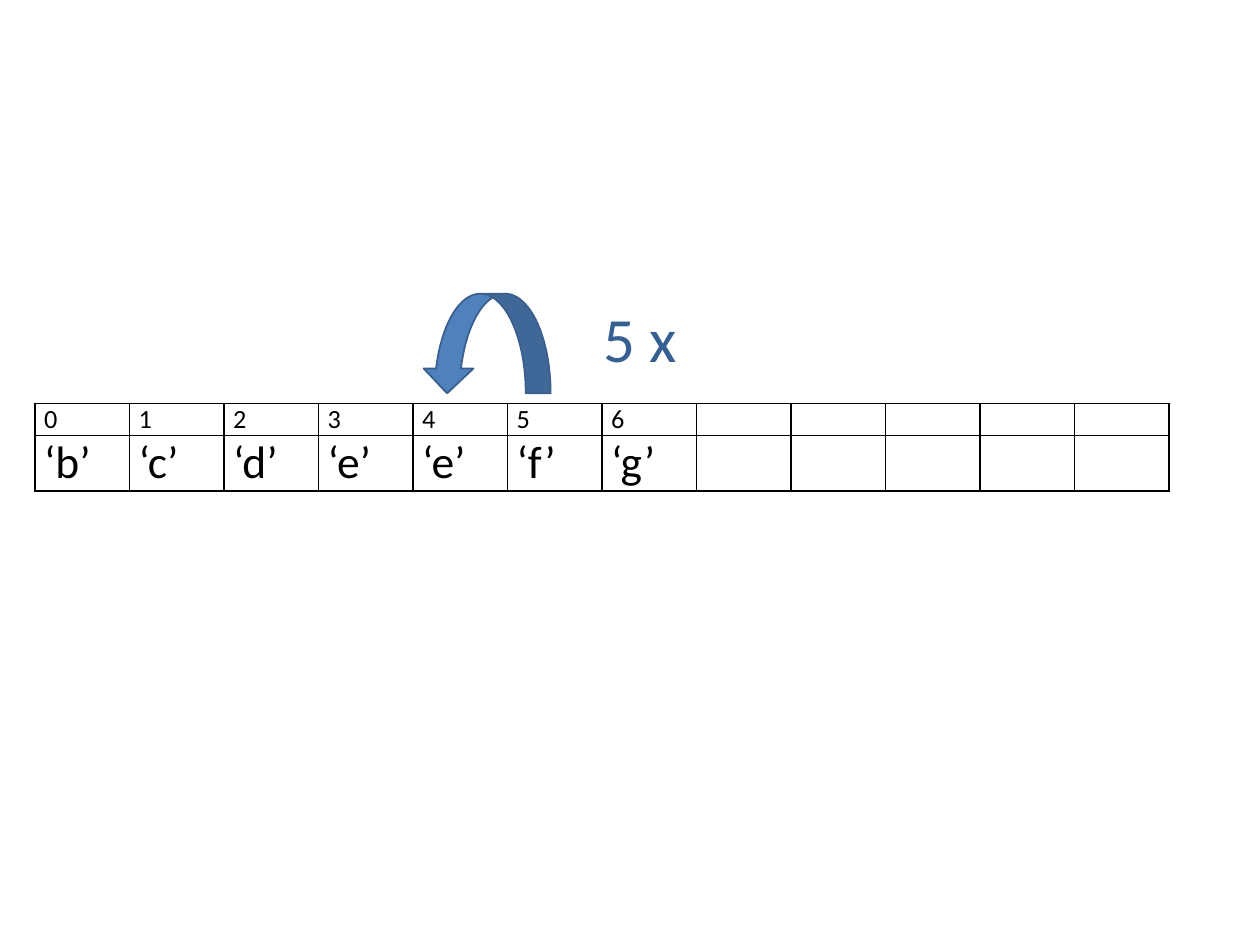
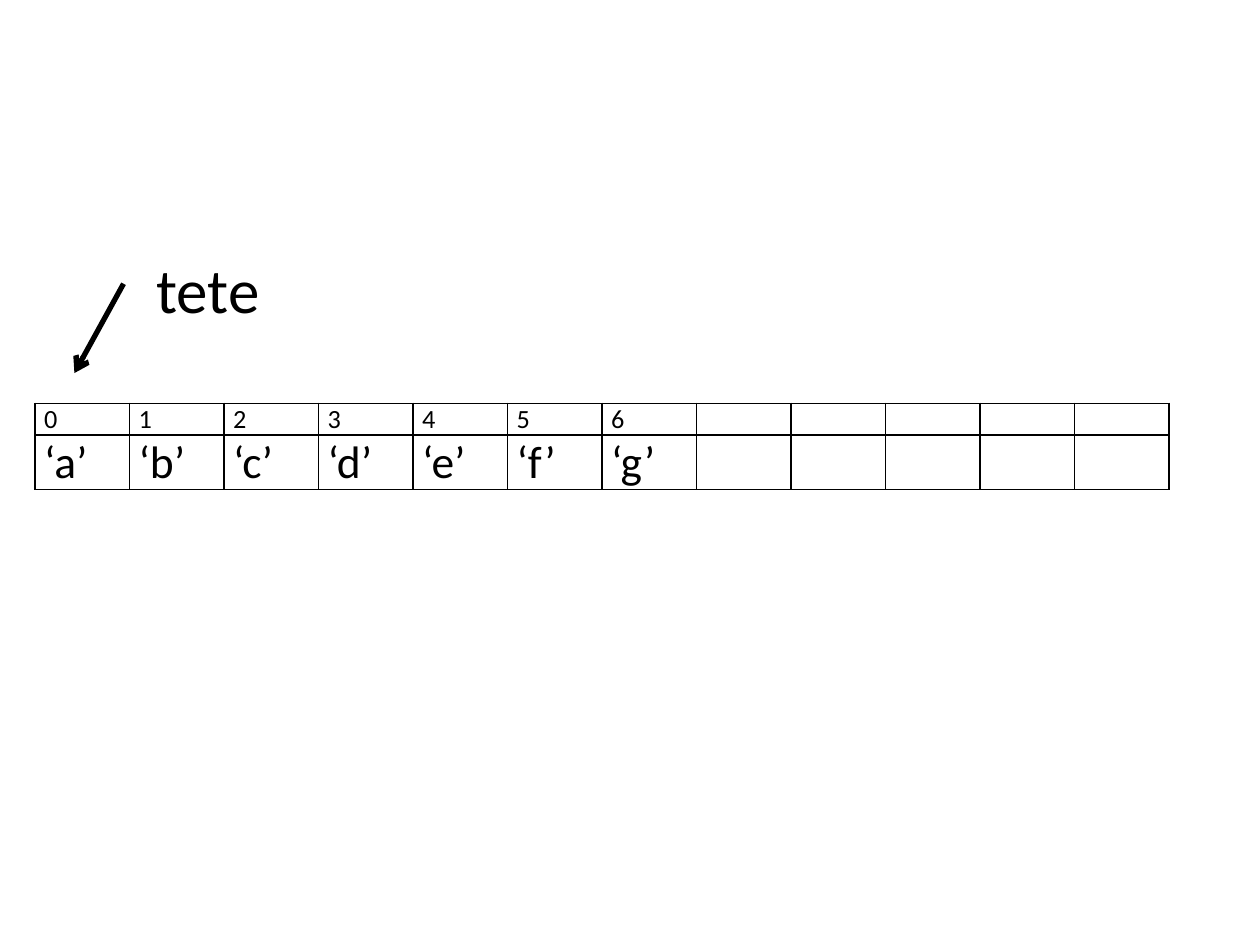
import lxml.etree
import pptx
import pptx.dml.color
import pptx.enum.shapes
import pptx.oxml.ns
import pptx.util

Cm = pptx.util.Cm
Pt = pptx.util.Pt
qn = pptx.oxml.ns.qn
BLACK = "000000"
BLUE = "4F81BD"
EDGE = "3A5F8C"
NAVY = "376092"
FONT = "Calibri"
COLS = 12
SIZES = (15, 26)
HEIGHTS = (0.64, 1.09)


def paint(color, code):
    color.rgb = pptx.dml.color.RGBColor.from_string(code)


def label(slide, text, left, top, width, code):
    box = slide.shapes.add_textbox(Cm(left), Cm(top), Cm(width), Cm(1.8))
    box.text_frame.word_wrap = False
    box.text_frame.text = text
    font = box.text_frame.paragraphs[0].runs[0].font
    font.name = FONT
    font.size = Pt(36)
    paint(font.color, code)


deck = pptx.Presentation()
deck.slide_width = Cm(25.4)
deck.slide_height = Cm(19.05)
slides = []

for letters in ("bcdeefg", "abcdefg"):
    slide = deck.slides.add_slide(deck.slide_layouts[6])
    slides.append(slide)
    frame = slide.shapes.add_table(2, COLS, Cm(0.71), Cm(8.13), Cm(22.86), Cm(sum(HEIGHTS)))
    grid = frame.table
    grid.first_row = False
    grid.horz_banding = False
    for col in grid.columns:
        col.width = Cm(22.86 / COLS)
    marks = [str(i) for i in range(len(letters))]
    chars = [f"‘{c}’" for c in letters]
    for r, texts in enumerate((marks, chars)):
        grid.rows[r].height = Cm(HEIGHTS[r])
        for c in range(COLS):
            cell = grid.cell(r, c)
            cell.margin_left = cell.margin_right = Cm(0.18)
            cell.margin_top = cell.margin_bottom = 0
            props = cell._tc.get_or_add_tcPr()
            for side in ("a:lnL", "a:lnR", "a:lnT", "a:lnB"):
                line = lxml.etree.SubElement(props, qn(side), w=str(Pt(1)))
                fill = lxml.etree.SubElement(line, qn("a:solidFill"))
                lxml.etree.SubElement(fill, qn("a:srgbClr"), val=BLACK)
            cell.fill.background()
            para = cell.text_frame.paragraphs[0]
            if c < len(texts):
                para.text = texts[c]
                font = para.runs[0].font
                font.name = FONT
                font.size = Pt(SIZES[r])
                paint(font.color, BLACK)
            else:
                lxml.etree.SubElement(para._p, qn("a:endParaRPr"), sz=str(SIZES[r] * 100))

shift, head = slides

arc = shift.shapes.add_shape(
    pptx.enum.shapes.MSO_SHAPE.CURVED_UP_ARROW, Cm(8.51), Cm(5.92), Cm(2.59), Cm(2.01))
arc.rotation = 180
arc.shadow.inherit = False
arc.fill.solid()
paint(arc.fill.fore_color, BLUE)
paint(arc.line.color, EDGE)
arc.line.width = Pt(1)
label(shift, "5 x", 11.91, 5.92, 2.01, NAVY)

arrow = head.shapes.add_connector(
    pptx.enum.shapes.MSO_CONNECTOR.STRAIGHT, Cm(2.49), Cm(5.72), Cm(1.5), Cm(7.52))
paint(arrow.line.color, BLACK)
arrow.line.width = Pt(3)
lxml.etree.SubElement(arrow.line._get_or_add_ln(), qn("a:tailEnd"), type="arrow")
lxml.etree.SubElement(arrow._element.spPr, qn("a:effectLst"))
label(head, "tete", 2.9, 4.93, 2.62, BLACK)

deck.save("out.pptx")
